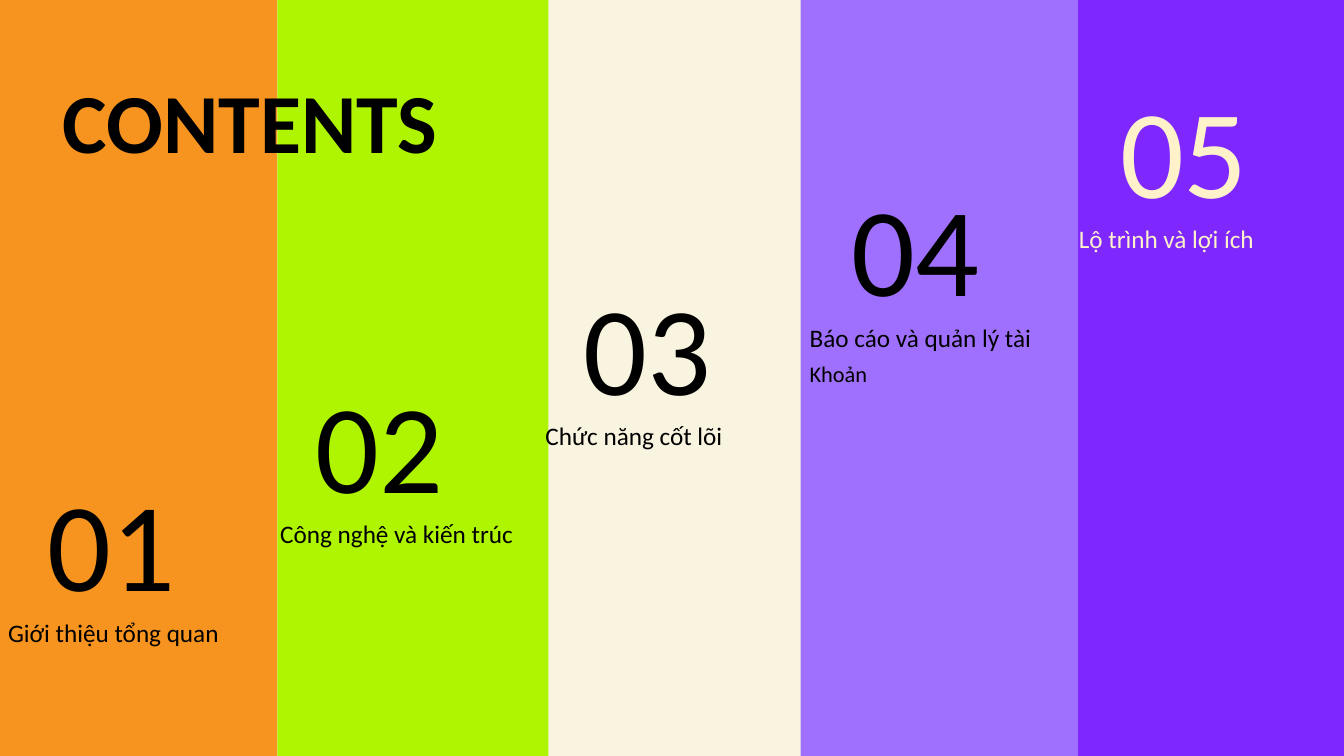
from typing import NamedTuple

from pptx import Presentation
from pptx.dml.color import RGBColor
from pptx.enum.shapes import MSO_SHAPE
from pptx.enum.text import MSO_ANCHOR, MSO_AUTO_SIZE, PP_ALIGN
from pptx.util import Inches, Pt

FONT = "Calibri"
COLORS = {
    "cream": "F9F4DF",
    "orange": "F7941F",
    "lime": "AFF501",
    "lilac": "9F70FD",
    "violet": "7F27FF",
    "black": "000000",
    "pale": "FFF2CA",
}
NUMBER_LEFT, NUMBER_TOP = 0.47, 4.62
CAPTION_TOP = 6.03
STEP_X, STEP_Y = 2.66, 0.975


class Band(NamedTuple):
    left: float
    width: float
    height: float
    color: str


class Line(NamedTuple):
    text: str
    size: int = 18


class Topic(NamedTuple):
    caption_left: float
    caption_width: float
    lines: list[Line]
    color: str = "black"


BANDS = [
    Band(10.67, 2.69, 7.53, "violet"),
    Band(7.94, 2.75, 7.53, "lilac"),
    Band(2.75, 2.69, 7.53, "lime"),
    Band(0, 2.75, 7.58, "orange"),
]
TOPICS = [
    Topic(0.08, 3.17, [Line("Giới thiệu tổng quan")]),
    Topic(2.78, 3.17, [Line("Công nghệ và kiến trúc")]),
    Topic(5.41, 3.17, [Line("Chức năng cốt lõi")]),
    Topic(8.03, 3.23, [Line("Báo cáo và quản lý tài"), Line("Khoản", 16)]),
    Topic(10.7, 3.23, [Line("Lộ trình và lợi ích")], "pale"),
]


def rgb(name: str) -> RGBColor:
    return RGBColor.from_string(COLORS[name])


def add_band(slide, band: Band):
    sp = slide.shapes.add_shape(
        MSO_SHAPE.RECTANGLE, Inches(band.left), Inches(-0.03),
        Inches(band.width), Inches(band.height))
    sp.shadow.inherit = False
    sp.fill.solid()
    sp.fill.fore_color.rgb = rgb(band.color)
    sp.line.fill.background()
    return sp


def write_lines(sp, lines: list[Line], color: str, spacing: float = 1.0,
                bold: bool = False) -> None:
    """Fill a text shape from its top left corner, without insets."""
    tf = sp.text_frame
    tf.word_wrap = True
    tf.auto_size = MSO_AUTO_SIZE.NONE
    tf.vertical_anchor = MSO_ANCHOR.TOP
    tf.margin_left = tf.margin_top = tf.margin_right = tf.margin_bottom = 0
    tf.text = "\n".join(line.text for line in lines)
    for p, line in zip(tf.paragraphs, lines):
        p.alignment = PP_ALIGN.LEFT
        p.line_spacing = spacing
        p.font.name = FONT
        p.font.size = Pt(line.size)
        p.font.bold = bold
        p.font.color.rgb = rgb(color)


def add_topic(slide, index: int, topic: Topic) -> None:
    rise = index * STEP_Y
    number = slide.shapes.add_textbox(
        Inches(NUMBER_LEFT + index * STEP_X), Inches(NUMBER_TOP - rise),
        Inches(1.82), Inches(1.51))
    write_lines(number, [Line(f"{index + 1:02}", 90)], topic.color)
    caption = slide.shapes.add_textbox(
        Inches(topic.caption_left), Inches(CAPTION_TOP - rise),
        Inches(topic.caption_width), Inches(1.4))
    write_lines(caption, topic.lines, topic.color, spacing=1.3)


def main() -> None:
    prs = Presentation()
    prs.slide_width, prs.slide_height = Inches(13.33), Inches(7.5)
    slide = prs.slides.add_slide(prs.slide_layouts[5])
    slide.background.fill.solid()
    slide.background.fill.fore_color.rgb = rgb("cream")

    bands = [add_band(slide, band) for band in BANDS]

    title = slide.shapes.title
    bands[-1].element.addnext(title.element)  # bring the title above the bands
    title.left, title.top = Inches(0.62), Inches(0.69)
    title.width, title.height = Inches(5.1), Inches(1.01)
    write_lines(title, [Line("CONTENTS", 60)], "black", bold=True)

    for index, topic in enumerate(TOPICS):
        add_topic(slide, index, topic)
    prs.save("out.pptx")


if __name__ == "__main__":
    main()
